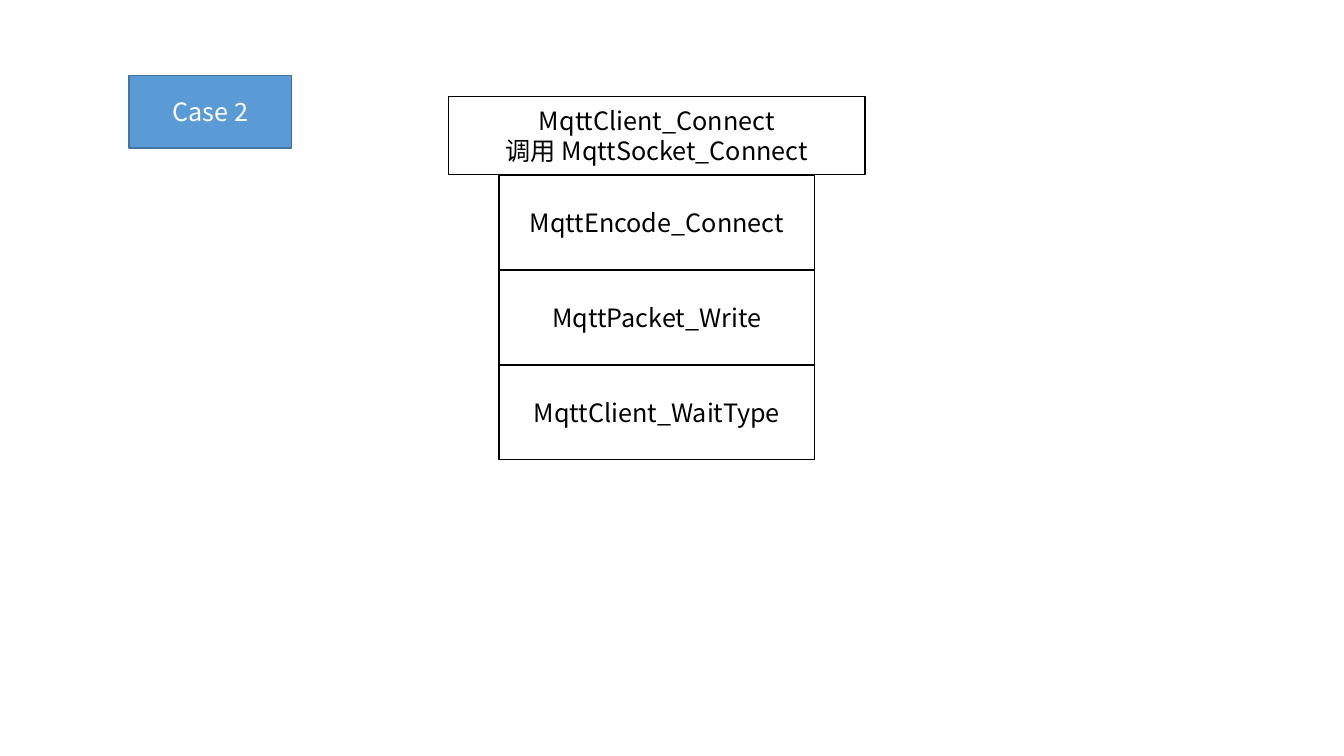
from pptx import Presentation
from pptx.dml.color import RGBColor
from pptx.enum.shapes import MSO_SHAPE
from pptx.enum.text import MSO_ANCHOR, PP_ALIGN
from pptx.oxml.ns import qn
from pptx.util import Inches, Pt

RECT = MSO_SHAPE.RECTANGLE
MIDDLE = MSO_ANCHOR.MIDDLE
CENTER = PP_ALIGN.CENTER

LABEL = ["Case 2"]
CALLER = ["MqttClient_Connect", "调用 MqttSocket_Connect"]
STEPS = ["MqttEncode_Connect", "MqttPacket_Write", "MqttClient_WaitType"]

THEME = {
    "font": "Noto Sans CJK SC",
    "size": 18,
    "rule": 1,
    "plain": {"fill": "FFFFFF", "line": "000000", "text": "000000"},
    "accent": {"fill": "5B9BD5", "line": "43739E", "text": "FFFFFF"},
}

LABEL_BOX = (1.28, 0.75, 1.61, 0.72)
CALLER_BOX = (4.45, 0.96, 4.13, 0.77)
STEP_TOP, STEP_WIDTH, STEP_HEIGHT = 1.74, 3.13, 0.94


def color(name):
    return RGBColor.from_string(name)


def add_box(slide, lines, box, style):
    shape = slide.shapes.add_shape(RECT, *map(Inches, box))
    shape.shadow.inherit = False
    shape.fill.solid()
    shape.fill.fore_color.rgb = color(style["fill"])
    shape.line.color.rgb = color(style["line"])
    shape.line.width = Pt(THEME["rule"])
    frame = shape.text_frame
    frame.word_wrap = True
    frame.vertical_anchor = MIDDLE
    frame.text = "\n".join(lines)
    look = {"name": THEME["font"], "size": Pt(THEME["size"])}
    for para in frame.paragraphs:
        para.alignment = CENTER
        for run in para.runs:
            for key, value in look.items():
                setattr(run.font, key, value)
            run.font.color.rgb = color(style["text"])
            east = run.font._element.makeelement(qn("a:ea"), {"typeface": THEME["font"]})
            run.font._element.append(east)


def main():
    deck = Presentation()
    deck.slide_width, deck.slide_height = Inches(13.33), Inches(7.5)
    slide = deck.slides.add_slide(deck.slide_layouts[6])

    add_box(slide, CALLER, CALLER_BOX, THEME["plain"])
    left = CALLER_BOX[0] + (CALLER_BOX[2] - STEP_WIDTH) / 2
    for row, step in enumerate(STEPS):
        top = STEP_TOP + row * STEP_HEIGHT
        add_box(slide, [step], (left, top, STEP_WIDTH, STEP_HEIGHT), THEME["plain"])
    add_box(slide, LABEL, LABEL_BOX, THEME["accent"])

    deck.save("out.pptx")


if __name__ == "__main__":
    main()
